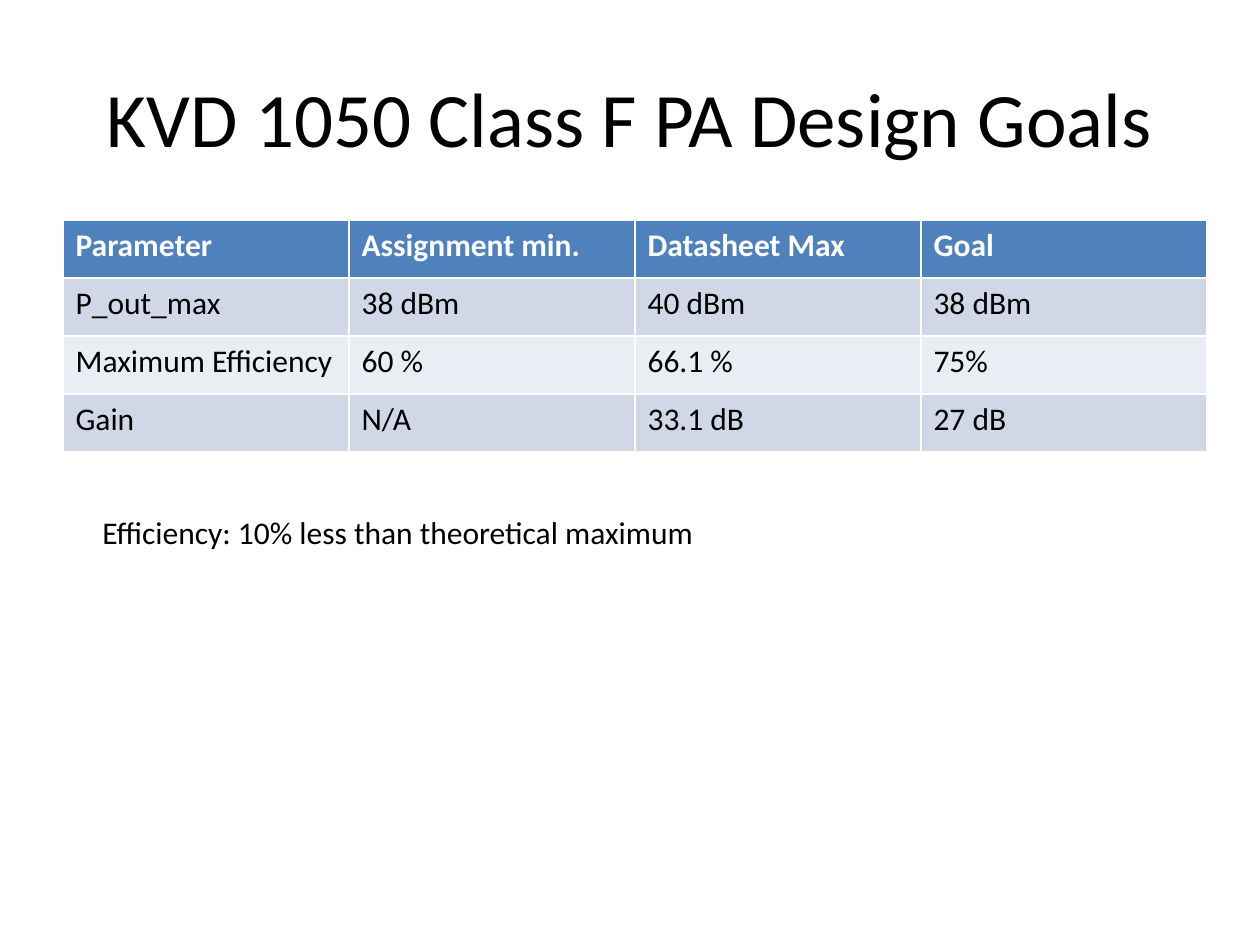
from dataclasses import dataclass

from pptx import Presentation
from pptx.dml.color import RGBColor
from pptx.enum.text import MSO_ANCHOR, MSO_AUTO_SIZE, PP_ALIGN
from pptx.util import Emu, Pt

TITLE = "KVD 1050 Class F PA Design Goals"
GOALS = [
    ("Parameter", "Assignment min.", "Datasheet Max", "Goal"),
    ("P_out_max", "38 dBm", "40 dBm", "38 dBm"),
    ("Maximum Efficiency", "60 %", "66.1 %", "75%"),
    ("Gain", "N/A", "33.1 dB", "27 dB"),
]
NOTE = "Efficiency: 10% less than theoretical maximum"

# Lengths in px, 126 to the inch
PAGE_SIZE = (1260, 945)
TITLE_BOX = (63, 38, 1134, 158)
TABLE_ORIGIN = (63, 220)
COLUMN_WIDTH, ROW_HEIGHT = 286, 58
NOTE_BOX = (90, 507, 631, 50)


@dataclass(frozen=True)
class Theme:
    font: str = "Calibri"
    title_size: int = 44
    body_size: int = 18
    text: str = "000000"
    header_text: str = "FFFFFF"
    header_fill: str = "4F81BD"
    band_fills: tuple = ("D0D8E8", "E9EDF4")


THEME = Theme()


def px(length):
    return Emu(round(length * 914400 / 126))


def write(frame, text, size, color=THEME.text, bold=False):
    frame.text = text
    for span in frame.paragraphs[0].runs:
        span.font.name = THEME.font
        span.font.size = Pt(size)
        span.font.bold = bold
        span.font.color.rgb = RGBColor.from_string(color)


def add_title(page):
    title = page.shapes.title
    title.left, title.top, title.width, title.height = map(px, TITLE_BOX)
    write(title.text_frame, TITLE, THEME.title_size)
    title.text_frame.vertical_anchor = MSO_ANCHOR.MIDDLE
    title.text_frame.paragraphs[0].alignment = PP_ALIGN.CENTER


def add_goals_table(page):
    """The default table style supplies the white cell borders."""
    rows, columns = len(GOALS), len(GOALS[0])
    size = (columns * COLUMN_WIDTH, rows * ROW_HEIGHT)
    table = page.shapes.add_table(rows, columns, *map(px, TABLE_ORIGIN + size)).table
    for r, values in enumerate(GOALS):
        header = r == 0
        fill = THEME.header_fill if header else THEME.band_fills[(r - 1) % 2]
        color = THEME.header_text if header else THEME.text
        for c, value in enumerate(values):
            cell = table.cell(r, c)
            cell.fill.solid()
            cell.fill.fore_color.rgb = RGBColor.from_string(fill)
            write(cell.text_frame, value, THEME.body_size, color, header)


def add_note(page):
    frame = page.shapes.add_textbox(*map(px, NOTE_BOX)).text_frame
    frame.word_wrap = False
    frame.auto_size = MSO_AUTO_SIZE.SHAPE_TO_FIT_TEXT
    write(frame, NOTE, THEME.body_size)


def main():
    deck = Presentation()
    deck.slide_width, deck.slide_height = map(px, PAGE_SIZE)
    page = deck.slides.add_slide(deck.slide_layouts.get_by_name("Title Only"))
    add_title(page)
    add_goals_table(page)
    add_note(page)
    deck.save("out.pptx")


if __name__ == "__main__":
    main()
